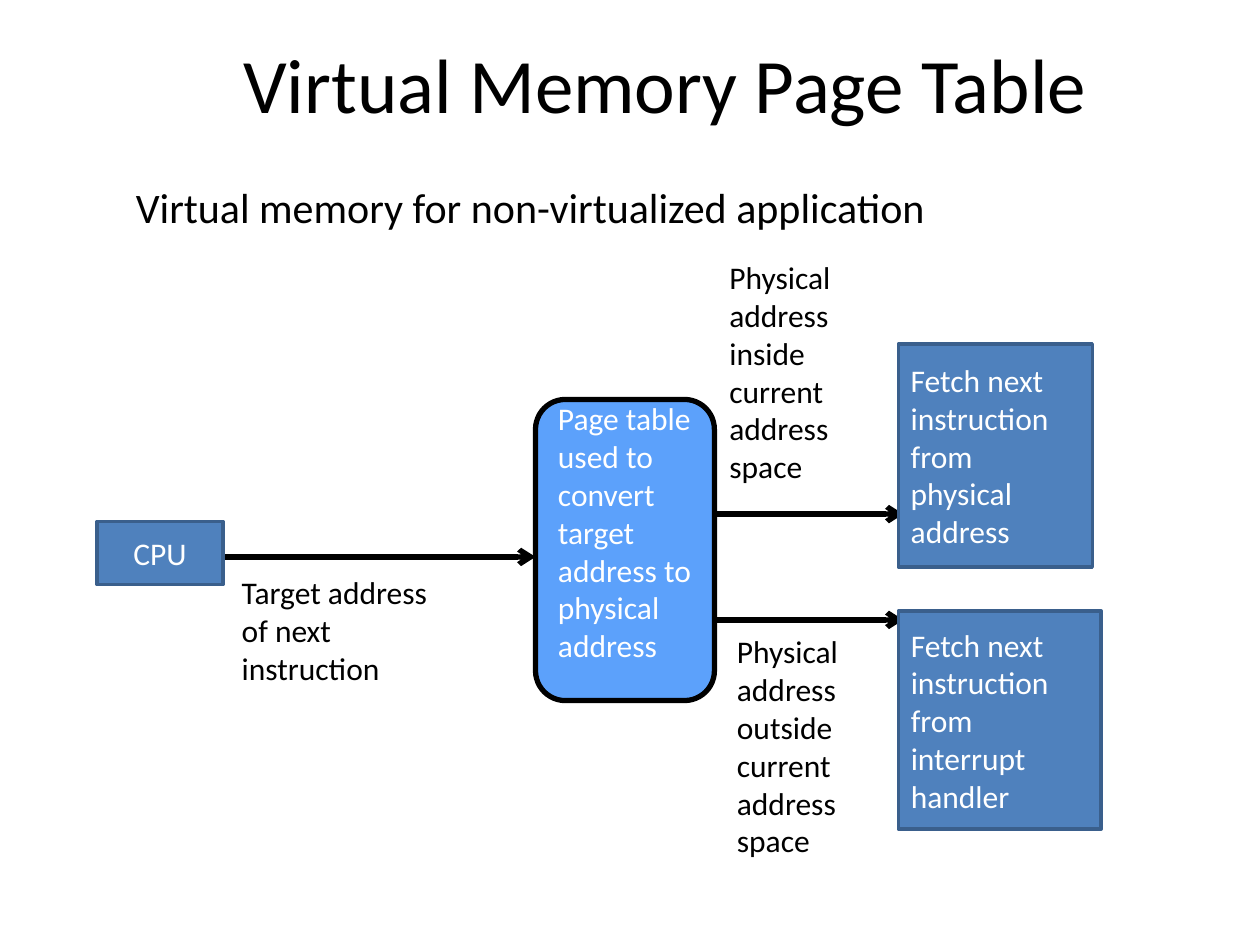
import pptx
import pptx.dml.color
import pptx.enum.shapes
import pptx.enum.text
import pptx.oxml
import pptx.oxml.ns
import pptx.util

Inches = pptx.util.Inches
Pt = pptx.util.Pt
SHAPE = pptx.enum.shapes.MSO_SHAPE
ALIGN = pptx.enum.text.PP_ALIGN
ANCHOR = pptx.enum.text.MSO_ANCHOR

FONT = "Calibri"
COLORS = {
    "ink": "000000",
    "paper": "FFFFFF",
    "step": "4F81BD",
    "step_edge": "3A5F8C",
    "page_table": "5CA1FB",
}

# Places are left, top, width, height in inches.
TITLE = ("Virtual Memory Page Table", (1.06, 0.3, 8.44, 0.85))
SUBTITLE = ("Virtual memory for non-virtualized application", (0.98, 1.39, 6.5, 0.5))
PAGE_TABLE = (4.25, 3.17, 1.42, 2.39)
LABELS = [
    ("Target address of next instruction", (1.82, 4.5, 1.85, 1.01), "ink"),
    ("Physical address inside current address space", (5.69, 2, 1.48, 1.92), "ink"),
    ("Physical address outside current address space", (5.75, 4.97, 1.42, 1.92), "ink"),
    ("Page table used to convert target address to physical address",
     (4.33, 3.12, 1.32, 2.22), "paper"),
]
STEPS = [
    ("CPU", (0.77, 4.14, 1, 0.5), ALIGN.CENTER),
    ("Fetch next instruction from physical address", (7.13, 2.73, 1.54, 1.77), ALIGN.LEFT),
    ("Fetch next instruction from interrupt handler", (7.13, 4.85, 1.61, 1.73), ALIGN.LEFT),
]
table_left, table_right = PAGE_TABLE[0], PAGE_TABLE[0] + PAGE_TABLE[2]
ARROWS = [  # from x, to x, y
    (1.75, table_left, 4.42),
    (table_right, 7.17, 4.08),
    (table_right, 7.17, 4.92),
]


def rgb(name):
    return pptx.dml.color.RGBColor.from_string(COLORS[name])


def inches(place):
    return [Inches(length) for length in place]


def write(frame, text, size, color, align=ALIGN.LEFT):
    paragraph = frame.paragraphs[0]
    paragraph.alignment = align
    run = paragraph.add_run()
    run.text = text
    run.font.size = Pt(size)
    run.font.name = FONT
    run.font.color.rgb = rgb(color)
    return paragraph


def add_box(slide, preset, place, fill, edge, edge_width):
    box = slide.shapes.add_shape(preset, *inches(place))
    box.shadow.inherit = False
    box.fill.solid()
    box.fill.fore_color.rgb = rgb(fill)
    box.line.color.rgb = rgb(edge)
    box.line.width = Pt(edge_width)
    return box


def add_label(slide, text, place, color, size=18, wrap=True):
    frame = slide.shapes.add_textbox(*inches(place)).text_frame
    frame.word_wrap = wrap
    frame.auto_size = pptx.enum.text.MSO_AUTO_SIZE.SHAPE_TO_FIT_TEXT
    write(frame, text, size, color)


def add_arrow(slide, start, end, y):
    arrow = slide.shapes.add_connector(
        pptx.enum.shapes.MSO_CONNECTOR.STRAIGHT, *inches((start, y, end, y)))
    arrow.line.color.rgb = rgb("ink")
    arrow.line.width = Pt(3)
    namespace = pptx.oxml.ns.nsdecls("a")
    arrow.line._get_or_add_ln().append(
        pptx.oxml.parse_xml(f'<a:tailEnd {namespace} type="arrow"/>'))
    arrow._element.spPr.append(pptx.oxml.parse_xml(f"<a:effectLst {namespace}/>"))


def main():
    deck = pptx.Presentation()
    deck.slide_width, deck.slide_height = Inches(10), Inches(7.5)
    slide = deck.slides.add_slide(deck.slide_layouts[5])

    text, place = TITLE
    title = slide.shapes.title
    title.left, title.top, title.width, title.height = inches(place)
    title.text_frame.vertical_anchor = ANCHOR.MIDDLE
    write(title.text_frame, text, 44, "ink", ALIGN.CENTER).line_spacing = 0.8

    add_box(slide, SHAPE.ROUNDED_RECTANGLE, PAGE_TABLE, "page_table", "ink", 3)
    for arrow in ARROWS:
        add_arrow(slide, *arrow)
    for label in LABELS:
        add_label(slide, *label)
    for text, place, align in STEPS:
        step = add_box(slide, SHAPE.RECTANGLE, place, "step", "step_edge", 2)
        step.text_frame.word_wrap = True
        step.text_frame.vertical_anchor = ANCHOR.MIDDLE
        write(step.text_frame, text, 18, "paper", align)
    add_label(slide, *SUBTITLE, "ink", size=24, wrap=False)

    deck.save("out.pptx")


if __name__ == "__main__":
    main()
